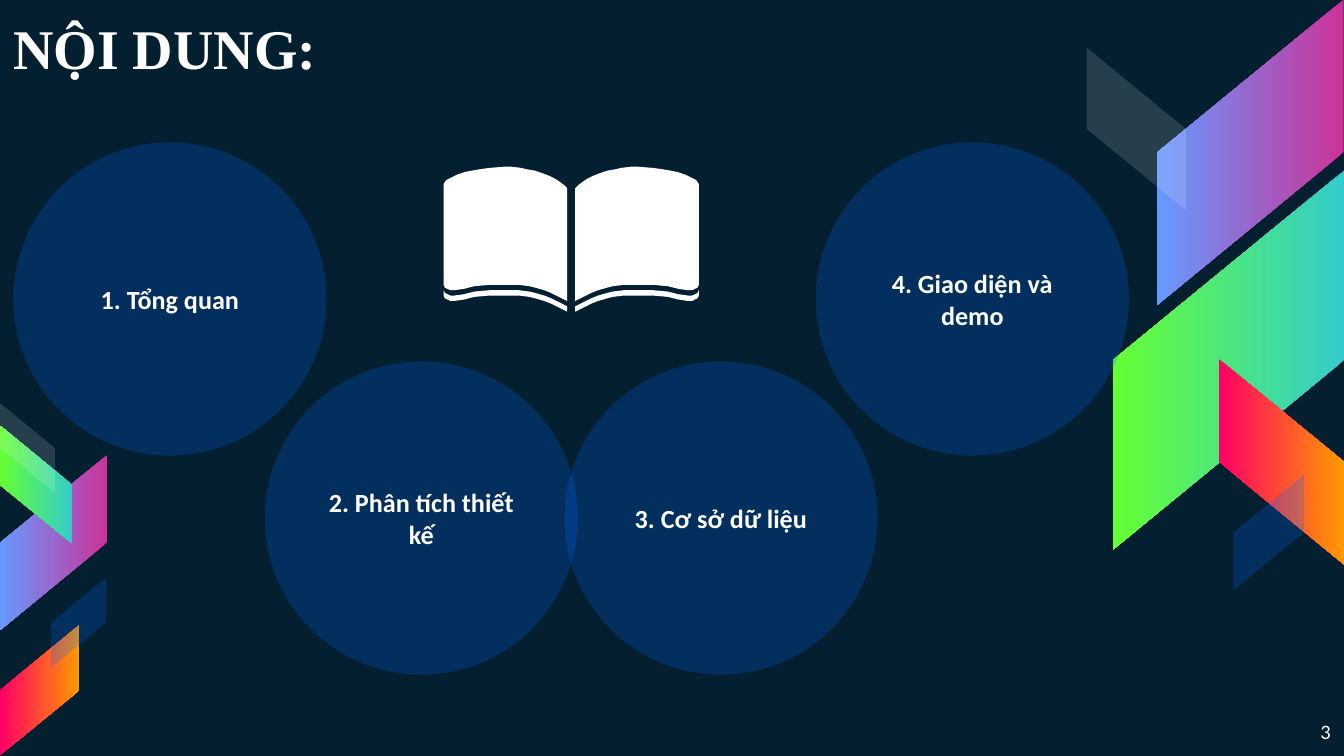
from lxml import etree
from pptx import Presentation
from pptx.dml.color import RGBColor
from pptx.enum import shapes as sh, text as tx
from pptx.oxml import ns
from pptx.util import Inches, Pt

WHITE, BLUE = "FFFFFF", "0066FF"
PINK, TEAL, RED = ("CC3399", "6699FF"), ("33CCCC", "66FF33"), ("FF0066", "FF9900")
SLANT, RATIO = 0.82, 0.61
SPINE, GAP, DISC = 4.25, 0.04, 2.33

BANDS = [
    (8.17, 0.44, 2.27, 90, True, PINK),
    (7.73, 1.82, 2.82, 90, True, TEAL),
    (8.77, 2.97, 1.53, 270, False, RED),
    (7.85, 0.59, 1.21, 270, False, (WHITE, 14)),
    (9.01, 3.7, 0.86, 270, True, (BLUE, 23)),
    (-0.25, 3.64, 1.3, 90, True, PINK),
    (-0.17, 3.34, 0.88, 90, False, TEAL),
    (-0.19, 4.84, 0.97, 270, True, RED),
    (-0.13, 3.13, 0.67, 270, False, (WHITE, 14)),
    (0.25, 4.43, 0.67, 270, True, (BLUE, 23)),
]
TOPICS = [
    (4.2, 2.69, "3. Cơ sở dữ liệu"),
    (0.1, 1.06, "1. Tổng quan"),
    (6.07, 1.06, "4. Giao diện và demo"),
    (1.97, 2.69, "2. Phân tích thiết kế"),
]
CREST = [
    (3.3, 1.37), (3.32, 1.34), (3.36, 1.32), (3.4, 1.3), (3.46, 1.28),
    (3.51, 1.27), (3.57, 1.26), (3.64, 1.25), (3.76, 1.24), (3.8, 1.24),
    (3.88, 1.25), (3.92, 1.26), (3.98, 1.27), (4.04, 1.29), (4.09, 1.31),
    (4.13, 1.33), (4.16, 1.35), (4.2, 1.38), (4.22, 1.4),
]
EDGE = [
    (3.3, 2.16), (3.31, 2.18), (3.33, 2.19), (3.35, 2.2), (3.38, 2.2),
    (3.45, 2.19), (3.53, 2.17), (3.64, 2.16), (3.76, 2.16), (3.86, 2.16),
    (3.94, 2.17), (3.98, 2.18), (4.05, 2.2), (4.1, 2.22), (4.16, 2.25),
    (4.2, 2.27), (4.22, 2.28),
]


def color(code):
    """Turn a hex string into a colour."""
    return RGBColor.from_string(code)


def paint(shape, code, alpha=100):
    """Give a shape a flat fill, with no line or shadow."""
    shape.shadow.inherit = False
    shape.line.fill.background()
    shape.fill.solid()
    shape.fill.fore_color.rgb = color(code)
    if alpha < 100:
        tone = next(shape.element.spPr.iter(ns.qn("a:srgbClr")))
        etree.SubElement(tone, ns.qn("a:alpha"), val=str(alpha * 1000))


def blend(shape, codes):
    """Give a shape a two-colour fill from its top to its bottom."""
    shape.shadow.inherit = False
    shape.line.fill.background()
    shape.fill.gradient()
    shape.fill.gradient_angle = 270
    for stop, place, code in zip(shape.fill.gradient_stops, (0, 1), codes):
        stop.position = place
        stop.color.rgb = color(code)


def write(shape, words, size, align, anchor, font="Calibri", bold=False):
    """Set the one paragraph of a shape."""
    frame = shape.text_frame
    frame.word_wrap = True
    frame.vertical_anchor = anchor
    frame.margin_left = frame.margin_right = Inches(0.1)
    frame.margin_top = frame.margin_bottom = Inches(0.1)
    para = frame.paragraphs[0]
    para.text = words
    para.alignment = align
    para.font.name, para.font.size, para.font.bold = font, Pt(size), bold
    para.font.color.rgb = color(WHITE)


def add_band(slide, left, top, width, turn, flip, tint):
    """Draw one slanted band of the side decoration."""
    band = slide.shapes.add_shape(
        sh.MSO_SHAPE.PARALLELOGRAM,
        Inches(left), Inches(top), Inches(width), Inches(width * RATIO))
    band.adjustments[0] = SLANT
    band.rotation = turn
    if flip:
        band.element.spPr.find(ns.qn("a:xfrm")).set("flipH", "1")
    if isinstance(tint[1], str):
        blend(band, tint)
    else:
        paint(band, *tint)


def add_disc(slide, left, top, words):
    """Draw one topic circle."""
    disc = slide.shapes.add_shape(
        sh.MSO_SHAPE.OVAL, Inches(left), Inches(top), Inches(DISC), Inches(DISC))
    paint(disc, BLUE, 23)
    write(disc, words, 14, tx.PP_ALIGN.CENTER, tx.MSO_ANCHOR.MIDDLE, bold=True)


def add_form(slide, points):
    """Draw a closed white outline."""
    spots = [(Inches(x), Inches(y)) for x, y in points]
    form = slide.shapes.build_freeform(*spots[0], scale=1.0)
    form.add_line_segments(spots[1:], close=True)
    paint(form.convert_to_shape(), WHITE)


def add_book(slide):
    """Draw an open book, its right half mirrored at the spine."""
    page = CREST + [(x, y - GAP) for x, y in reversed(EDGE)]
    strip = EDGE + [(x, y + GAP) for x, y in reversed(EDGE)]
    for half in (strip, page):
        add_form(slide, half)
        add_form(slide, [(2 * SPINE - x, y) for x, y in half])


def add_text(slide, left, top, width, height, *args, **style):
    """Add a text box."""
    box = slide.shapes.add_textbox(
        Inches(left), Inches(top), Inches(width), Inches(height))
    write(box, *args, **style)


def main():
    """Build the contents slide."""
    deck = Presentation()
    deck.slide_width = Inches(10)
    deck.slide_height = deck.slide_width * 9 // 16
    slide = deck.slides.add_slide(deck.slide_layouts[6])
    slide.background.fill.solid()
    slide.background.fill.fore_color.rgb = color("041F30")
    for band in BANDS:
        add_band(slide, *band)
    add_text(slide, 0, 0, 6.53, 0.7, "NỘI DUNG:", 30, tx.PP_ALIGN.LEFT,
             tx.MSO_ANCHOR.BOTTOM, font="Times New Roman", bold=True)
    for topic in TOPICS:
        add_disc(slide, *topic)
    add_text(slide, 9.36, 5.26, 0.64, 0.36, "3", 11, tx.PP_ALIGN.RIGHT,
             tx.MSO_ANCHOR.TOP)
    add_book(slide)
    deck.save("out.pptx")


if __name__ == "__main__":
    main()
